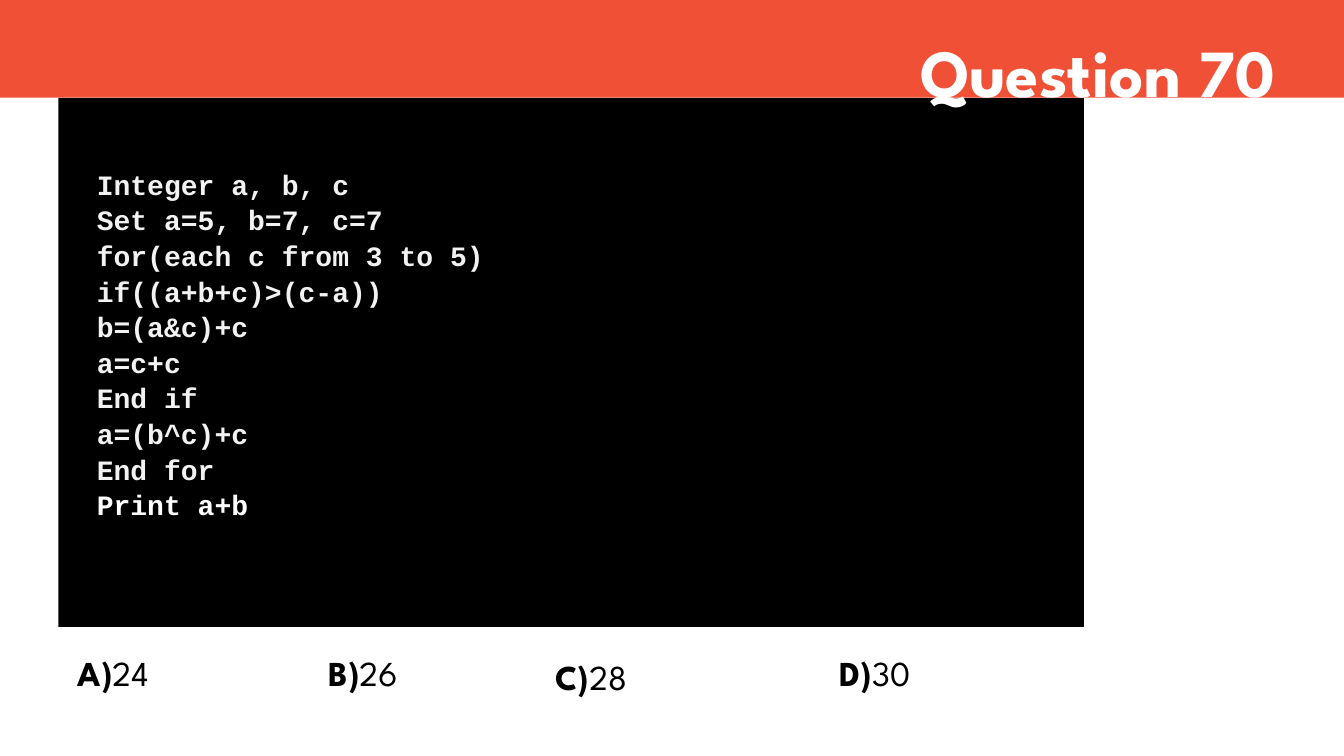
from pptx import Presentation
from pptx.dml.color import RGBColor
from pptx.enum.shapes import MSO_SHAPE
from pptx.enum.text import MSO_ANCHOR, MSO_AUTO_SIZE, PP_ALIGN
from pptx.util import Inches, Pt

RECT = MSO_SHAPE.RECTANGLE
TOP = MSO_ANCHOR.TOP
NO_FIT = MSO_AUTO_SIZE.NONE
LEFT, RIGHT = PP_ALIGN.LEFT, PP_ALIGN.RIGHT

BLACK = RGBColor(0x00, 0x00, 0x00)
WHITE = RGBColor(0xFF, 0xFF, 0xFF)
PALE = RGBColor(0xF2, 0xF2, 0xF2)
ORANGE = RGBColor(0xF0, 0x51, 0x36)
DISPLAY, MONO = "League Spartan", "Courier New"

TITLE = "Question 70"
CODE = [
    "Integer a, b, c",
    "Set a=5, b=7, c=7",
    "for(each c from 3 to 5)",
    "if((a+b+c)>(c-a))",
    "b=(a&c)+c",
    "a=c+c",
    "End if",
    "a=(b^c)+c",
    "End for",
    "Print a+b",
]
# letter, value, left, top, width
ANSWERS = [
    ("A)", "24", 0.67, 6.21, 2.55),
    ("B)", "26", 3.16, 6.21, 2.55),
    ("C)", "28", 5.41, 6.25, 1.93),
    ("D)", "30", 8.23, 6.21, 4.19),
]


def place(shape, left, top, width, height):
    shape.left, shape.top = Inches(left), Inches(top)
    shape.width, shape.height = Inches(width), Inches(height)


def add_block(s, color, *box):
    block = s.shapes.add_shape(RECT, *map(Inches, box))
    block.shadow.inherit = False
    block.fill.solid()
    block.fill.fore_color.rgb = color
    block.line.fill.background()


def write(shape, lines, font, size, align=LEFT, spacing=1.0, inset=(0.1, 0.05)):
    """Fill a shape with lines, each a list of (text, color, bold) runs."""
    tf = shape.text_frame
    tf.word_wrap = True
    tf.auto_size = NO_FIT
    tf.vertical_anchor = TOP
    tf.margin_left = tf.margin_right = Inches(inset[0])
    tf.margin_top = tf.margin_bottom = Inches(inset[1])
    for i, runs in enumerate(lines):
        p = tf.add_paragraph() if i else tf.paragraphs[0]
        p.alignment = align
        p.line_spacing = spacing
        for text, color, bold in runs:
            r = p.add_run()
            r.text = text
            r.font.name, r.font.size, r.font.bold = font, Pt(size), bold
            r.font.color.rgb = color


prs = Presentation()
prs.slide_width, prs.slide_height = Inches(13.33), Inches(7.5)
s = prs.slides.add_slide(prs.slide_layouts[5])

add_block(s, BLACK, 0.58, 0.97, 10.17, 5.25)
add_block(s, ORANGE, 0, 0, 13.33, 0.97)

title = s.shapes.title
s.shapes.element.append(title.element)  # bring the title in front of the band
place(title, 4.25, 0.25, 8.5, 0.91)
write(title, [[(TITLE, WHITE, True)]], DISPLAY, 48, align=RIGHT)

for letter, value, left, top, width in ANSWERS:
    answer = s.shapes.add_textbox(*map(Inches, (left, top, width, 0.73)))
    write(answer, [[(letter, BLACK, True), (value, BLACK, False)]],
          DISPLAY, 25, spacing=1.5)

code = s.shapes.add_textbox(*map(Inches, (0.89, 1.53, 6.26, 4.31)))
code_lines = [[(line, PALE, True)] for line in CODE[:-1]]
code_lines.append([(CODE[-1], WHITE, True)])
write(code, code_lines, MONO, 20, spacing=1.06, inset=(0.07, 0.11))

prs.save("out.pptx")
